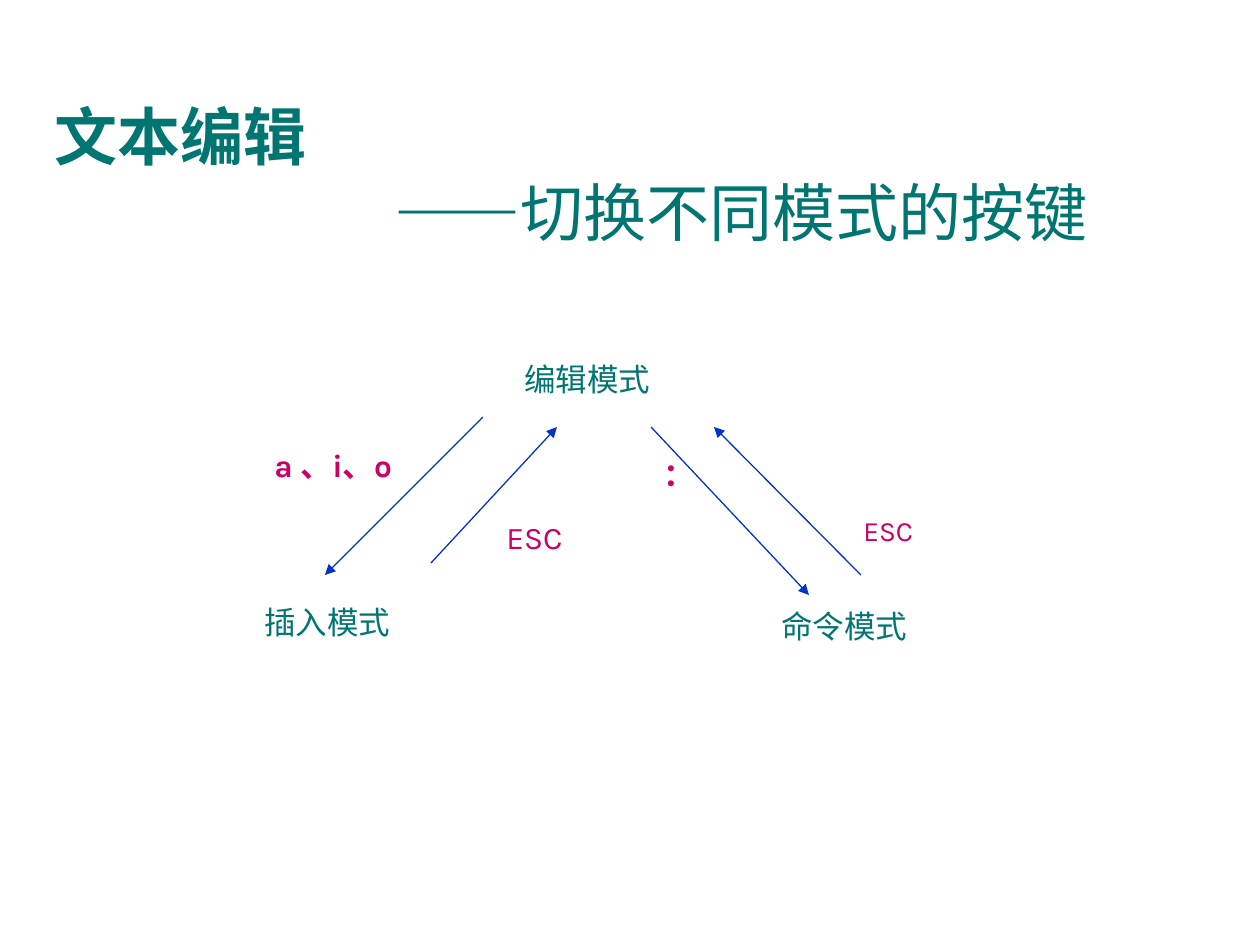
from lxml.etree import SubElement
from pptx import Presentation
from pptx.dml.color import RGBColor as Rgb
from pptx.enum.shapes import MSO_CONNECTOR as Conn
from pptx.enum.text import MSO_ANCHOR as Anchor, MSO_AUTO_SIZE as Auto
from pptx.oxml.ns import qn
from pptx.util import Pt

TEAL, PINK, BLUE = "007572", "CC0066", "0033CC"


def px(num):
    return round(num * 914400 / 126)


def hue(code):
    return Rgb.from_string(code)


def write(para, text, size=18, face="Karla", color=TEAL, bold=False):
    run = para.add_run()
    run.text = text
    font = run.font
    font.size, font.name, font.bold = Pt(size), face, bold
    font.color.rgb = hue(color)


class Board:
    def __init__(self, wide, high):
        self.deck = Presentation()
        self.deck.slide_width, self.deck.slide_height = px(wide), px(high)
        self.slide = self.deck.slides.add_slide(self.deck.slide_layouts[6])

    def box(self, x, y, w, h):
        frame = self.slide.shapes.add_textbox(px(x), px(y), px(w), px(h)).text_frame
        frame.word_wrap = True
        return frame

    def title(self, x, y, w, h, head, dash, tail, indent):
        frame = self.box(x, y, w, h)
        frame.vertical_anchor = Anchor.MIDDLE
        look = dict(size=36, face="Arial")
        write(frame.paragraphs[0], head, bold=True, **look)
        para = frame.add_paragraph()
        para._p.get_or_add_pPr().set("marL", str(px(indent)))
        write(para, dash, bold=True, **look)
        write(para, tail, **look)

    def label(self, x, y, w, h, text, **look):
        frame = self.box(x, y, w, h)
        frame.auto_size = Auto.SHAPE_TO_FIT_TEXT
        write(frame.paragraphs[0], text, **look)

    def arrow(self, *ends):
        line = self.slide.shapes.add_connector(Conn.STRAIGHT, *map(px, ends))
        line.line.color.rgb = hue(BLUE)
        line.line.width = Pt(0.75)
        SubElement(line.line._get_or_add_ln(), qn("a:tailEnd"), type="triangle")
        SubElement(line._element.spPr, qn("a:effectLst"))

    def save(self):
        self.deck.save("out.pptx")


def main():
    board = Board(1260, 945)
    board.title(42, 94, 1177, 158, "文本编辑", "——", "切换不同模式的按键", 340)

    modes = [
        (512, 354, 336, 50, "编辑模式"),
        (252, 597, 305, 50, "插入模式"),
        (769, 601, 252, 50, "命令模式"),
    ]
    for mode in modes:
        board.label(*mode)

    arrows = [
        (483, 417, 325, 575),
        (431, 563, 557, 427),
        (651, 427, 809, 595),
        (861, 575, 714, 427),
    ]
    for ends in arrows:
        board.arrow(*ends)

    keys = [
        (262, 440, 147, 88, "a 、i、o", 18, True),
        (494, 512, 95, 50, "ESC", 18, False),
        (651, 449, 105, 50, "：", 18, True),
        (851, 507, 210, 47, "ESC", 16, False),
    ]
    for *place, text, size, bold in keys:
        board.label(*place, text, size=size, color=PINK, bold=bold)

    board.save()


if __name__ == "__main__":
    main()
